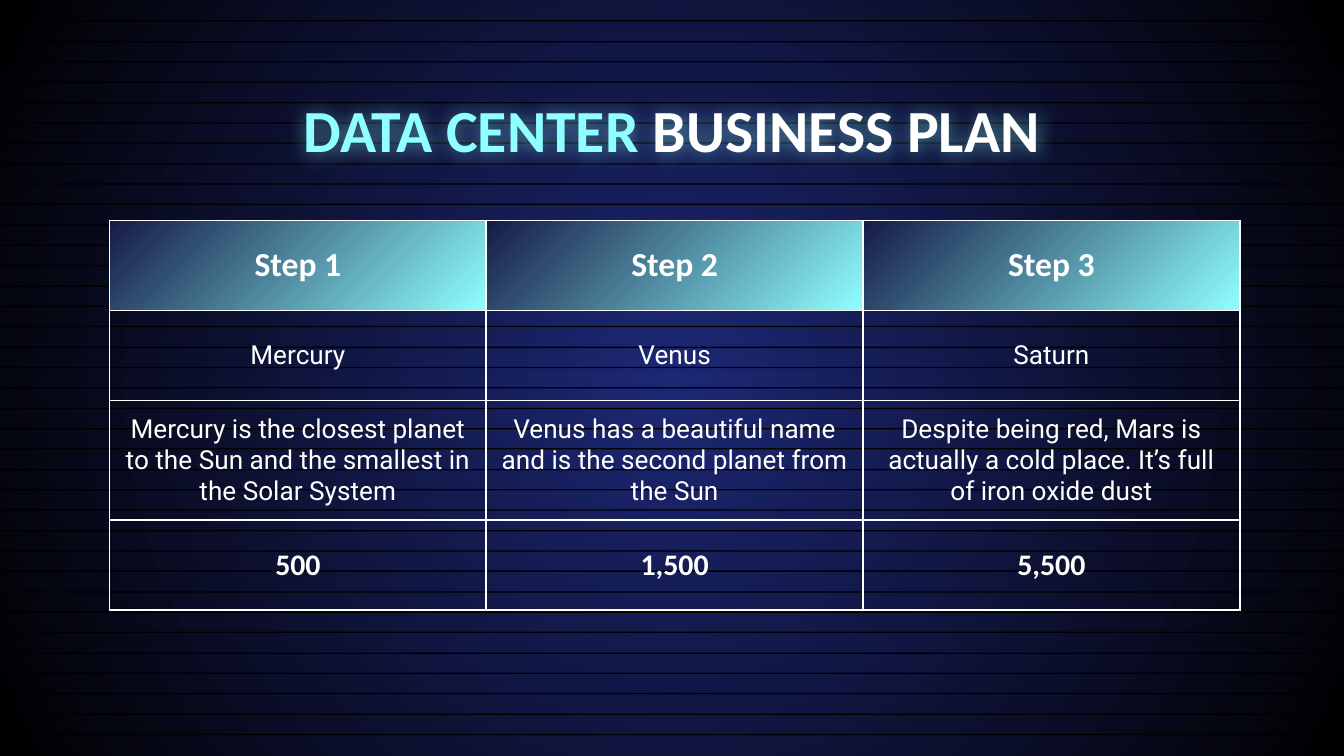
from lxml.etree import SubElement
from pptx import Presentation
from pptx.dml.color import RGBColor
from pptx.enum.shapes import MSO_SHAPE
from pptx.enum.text import MSO_ANCHOR, PP_ALIGN
from pptx.oxml.ns import qn
from pptx.util import Emu, Pt

PX = 4572  # 200 px to the inch
WIDTH, HEIGHT = 2000, 1125
INSET = 20
TITLE_ONLY = 5
COLORS = {"glow": "8FFFFF", "navy": "151B46", "blue": "1D2875", "black": "000000", "white": "FFFFFF"}
HEADING, BODY = "Calibri", "Roboto"

LINE_COUNT, LAST_LINE = 36, 1092
ROWS = [
    (["Step 1", "Step 2", "Step 3"], HEADING, 18, True),
    (["Mercury", "Venus", "Saturn"], BODY, 14, False),
    (["Mercury is the closest planet to the Sun and the smallest in the Solar System",
      "Venus has a beautiful name and is the second planet from the Sun",
      "Despite being red, Mars is actually a cold place. It’s full of iron oxide dust"], BODY, 14, False),
    (["500", "1,500", "5,500"], HEADING, 16, True),
]


def px(*lengths):
    return [Emu(length * PX) for length in lengths]


def rgb(name):
    return RGBColor.from_string(COLORS[name])


class Slide:
    """The current page and the styles of its elements."""

    def __init__(self, deck):
        self.page = deck.slides.add_slide(deck.slide_layouts[TITLE_ONLY])
        self.shapes = self.page.shapes

    def gradient(self, fill, start, end):
        fill.gradient()
        for stop, name in zip(fill.gradient_stops, (start, end)):
            stop.color.rgb = rgb(name)
        fill.gradient_stops[0].position, fill.gradient_stops[1].position = 0, 1

    def background(self):
        """Radial gradient, lightest in the middle."""
        self.gradient(self.page.background.fill, "blue", "black")
        gradient = next(self.page._element.iter(qn("a:gradFill")))
        gradient.remove(gradient.find(qn("a:lin")))
        circle = SubElement(gradient, qn("a:path"), path="circle")
        SubElement(circle, qn("a:fillToRect"), l="50000", t="50000", r="50000", b="50000")

    def scan_line(self, top):
        line = self.shapes.add_shape(MSO_SHAPE.RECTANGLE, *px(0, top, WIDTH, 2))
        line.shadow.inherit = False
        line.fill.solid()
        line.fill.fore_color.rgb = rgb("black")
        line.line.fill.background()

    def margins(self, holder):
        """Give a text frame or a table cell the same inset on all sides."""
        holder.margin_left, holder.margin_top, holder.margin_right, holder.margin_bottom = px(*[INSET] * 4)

    def format_span(self, span, font, size, bold, color="white"):
        span.font.name, span.font.size, span.font.bold = font, Pt(size), bold
        span.font.color.rgb = rgb(color)

    def title(self, parts, left, top, width, height):
        box = self.shapes.title
        self.shapes._spTree.append(box._element)  # in front of the scan lines
        box.left, box.top, box.width, box.height = px(left, top, width, height)
        frame = box.text_frame
        frame.word_wrap = True
        frame.vertical_anchor = MSO_ANCHOR.TOP
        self.margins(frame)
        para = frame.paragraphs[0]
        para.alignment = PP_ALIGN.CENTER
        for text, color in parts:
            span = para.add_run()
            span.text = text
            self.format_span(span, HEADING, 32, True, color)
        effects = SubElement(box._element.spPr, qn("a:effectLst"))
        glow = SubElement(effects, qn("a:outerShdw"), blurRad=str(28 * PX), dist="0", algn="ctr")
        color = SubElement(glow, qn("a:srgbClr"), val=COLORS["glow"])
        SubElement(color, qn("a:alpha"), val="50000")

    def borders(self, cell, **widths):
        for side, width in widths.items():
            line = SubElement(cell._tc.get_or_add_tcPr(), qn(f"a:ln{side}"), w=str(Pt(width)))
            fill = SubElement(line, qn("a:solidFill"))
            SubElement(fill, qn("a:srgbClr"), val=COLORS["white"])

    def cell(self, cell, text, font, size, bold):
        cell.vertical_anchor = MSO_ANCHOR.MIDDLE
        self.margins(cell)
        cell.text_frame.text = text
        para = cell.text_frame.paragraphs[0]
        para.alignment = PP_ALIGN.CENTER
        self.format_span(para.runs[0], font, size, bold)

    def table(self, rows, left, top, width, row_height):
        columns = len(rows[0][0])
        frame = self.shapes.add_table(len(rows), columns, *px(left, top, width, row_height * len(rows)))
        table = frame.table
        table.first_row = table.horz_banding = False
        for r, (texts, *style) in enumerate(rows):
            for c, text in enumerate(texts):
                cell = table.cell(r, c)
                self.cell(cell, text, *style)
                self.borders(cell, L=1.5 if c else 0.75, R=1.5, T=0.75,
                             B=1.5 if r == len(rows) - 1 else 0.75)
                if r == 0:
                    self.gradient(cell.fill, "navy", "glow")
                    cell.fill.gradient_angle = 315  # counter-clockwise: towards bottom right
                else:
                    cell.fill.background()


def main():
    deck = Presentation()
    deck.slide_width, deck.slide_height = px(WIDTH, HEIGHT)
    slide = Slide(deck)
    slide.background()
    for number in range(LINE_COUNT, 0, -1):
        slide.scan_line(round(LAST_LINE * number / LINE_COUNT))
    slide.title([("DATA CENTER ", "glow"), ("BUSINESS PLAN", "white")], 156, 118, 1688, 124)
    slide.table(ROWS, 163, 328, 1682, 134)
    deck.save("out.pptx")


if __name__ == "__main__":
    main()
